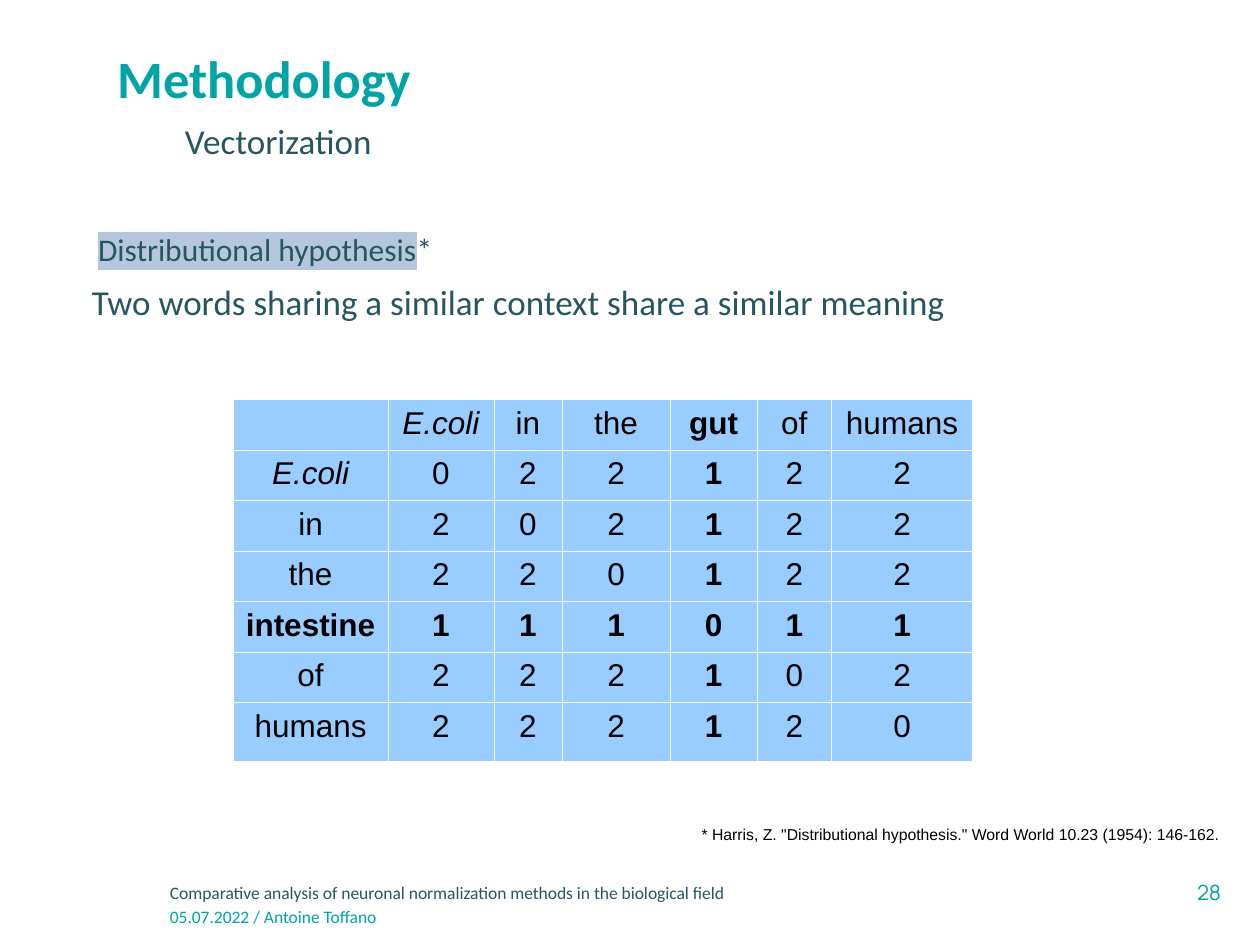
from lxml import etree
from pptx import Presentation
from pptx import util as u
from pptx.dml.color import RGBColor
from pptx.enum import text
from pptx.oxml import ns

TEAL, SLATE, BLACK, WHITE = "00A3A6", "275662", "000000", "FFFFFF"
CELL_BLUE, MARKER_BLUE = "99CCFF", "B4C7DC"


def color(value):
    return RGBColor.from_string(value)


def style(para, size, name, value, bold=False, italic=False):
    font = para.font
    font.size, font.name = u.Pt(size), name
    font.bold, font.italic = bold, italic
    font.color.rgb = color(value)


deck = Presentation()
deck.slide_width, deck.slide_height = u.Inches(10), u.Inches(7.5)
page = deck.slides.add_slide(deck.slide_layouts[5])

# Title
title = page.shapes.title
title.left, title.top = u.Inches(0.93), u.Inches(0.16)
title.width, title.height = u.Inches(8.38), u.Inches(0.97)
frame = title.text_frame
frame.text = "Methodology"
frame.margin_left = 0
frame.vertical_anchor = text.MSO_ANCHOR.MIDDLE
para = frame.paragraphs[0]
para.alignment = text.PP_ALIGN.LEFT
para.line_spacing = 0.9
style(para, 30, "Calibri", TEAL, bold=True)

# Text boxes: left, top, width, height, runs, size, font, colour
boxes = [
    (7.51, 6.93, 2.28, 0.33, ["28"], 12, "Manrope", TEAL),
    (1.25, 6.95, 7.75, 0.27,
     ["Comparative analysis of neuronal normalization methods in the biological field"],
     10, "Calibri", SLATE),
    (1.25, 7.14, 7.34, 0.27, ["05.07.2022 / Antoine Toffano"], 10, "Calibri", TEAL),
    (1.37, 0.94, 7.94, 0.74, ["Vectorization"], 20, "Calibri", SLATE),
    (0.68, 1.78, 7.54, 0.42, ["Distributional hypothesis", "*"], 18, "Calibri", SLATE),
    (0.63, 2.18, 8.68, 0.42,
     ["Two words sharing a similar context share a similar meaning"], 20, "Calibri", SLATE),
    (5.47, 6.5, 4.5, 0.66,
     ['* Harris, Z. "Distributional hypothesis." Word World 10.23 (1954): 146-162.'],
     9, "Arial", BLACK),
]
paras = {}
for left, top, width, height, runs, size, name, value in boxes:
    box = page.shapes.add_textbox(*map(u.Inches, (left, top, width, height)))
    box.text_frame.word_wrap = True
    para = box.text_frame.paragraphs[0]
    for words in runs:
        para.add_run().text = words
    style(para, size, name, value)
    paras[runs[0]] = para
paras["28"].alignment = text.PP_ALIGN.RIGHT
paras["Vectorization"].line_spacing = 0.9

# Marker behind the key term
span = paras["Distributional hypothesis"].runs[0]
marker = etree.SubElement(span.font._element, ns.qn("a:highlight"))
etree.SubElement(marker, ns.qn("a:srgbClr"), val=MARKER_BLUE)

# Distance table
columns = ["E.coli", "in", "the", "gut", "of", "humans"]
rows = ["E.coli", "in", "the", "intestine", "of", "humans"]
widths = [1.23, 0.84, 0.54, 0.86, 0.69, 0.59, 1.12]
heights = [0.4] * 6 + [0.47]
grid = [[""] + columns]
for r, label in enumerate(rows):
    distances = [0 if r == c else 1 if 3 in (r, c) else 2 for c in range(6)]
    grid.append([label] + [str(distance) for distance in distances])

table = page.shapes.add_table(
    7, 7, u.Inches(1.85), u.Inches(3.17),
    u.Inches(sum(widths)), u.Inches(sum(heights))).table
table.first_row = table.horz_banding = False
for column, width in zip(table.columns, widths):
    column.width = u.Inches(width)
for row, height in zip(table.rows, heights):
    row.height = u.Inches(height)

for r, line in enumerate(grid):
    for c, words in enumerate(line):
        cell = table.cell(r, c)
        cell.text = words
        para = cell.text_frame.paragraphs[0]
        para.alignment = text.PP_ALIGN.CENTER
        style(para, 18, "Arial", BLACK, bold=4 in (r, c), italic=words == "E.coli")
        # Hairline white borders
        properties = cell._tc.get_or_add_tcPr()
        for side in ("lnL", "lnR", "lnT", "lnB"):
            border = etree.SubElement(properties, ns.qn("a:" + side), w=str(u.Pt(0.06)))
            fill = etree.SubElement(border, ns.qn("a:solidFill"))
            etree.SubElement(fill, ns.qn("a:srgbClr"), val=WHITE)
        cell.fill.solid()
        cell.fill.fore_color.rgb = color(CELL_BLUE)

deck.save("out.pptx")
